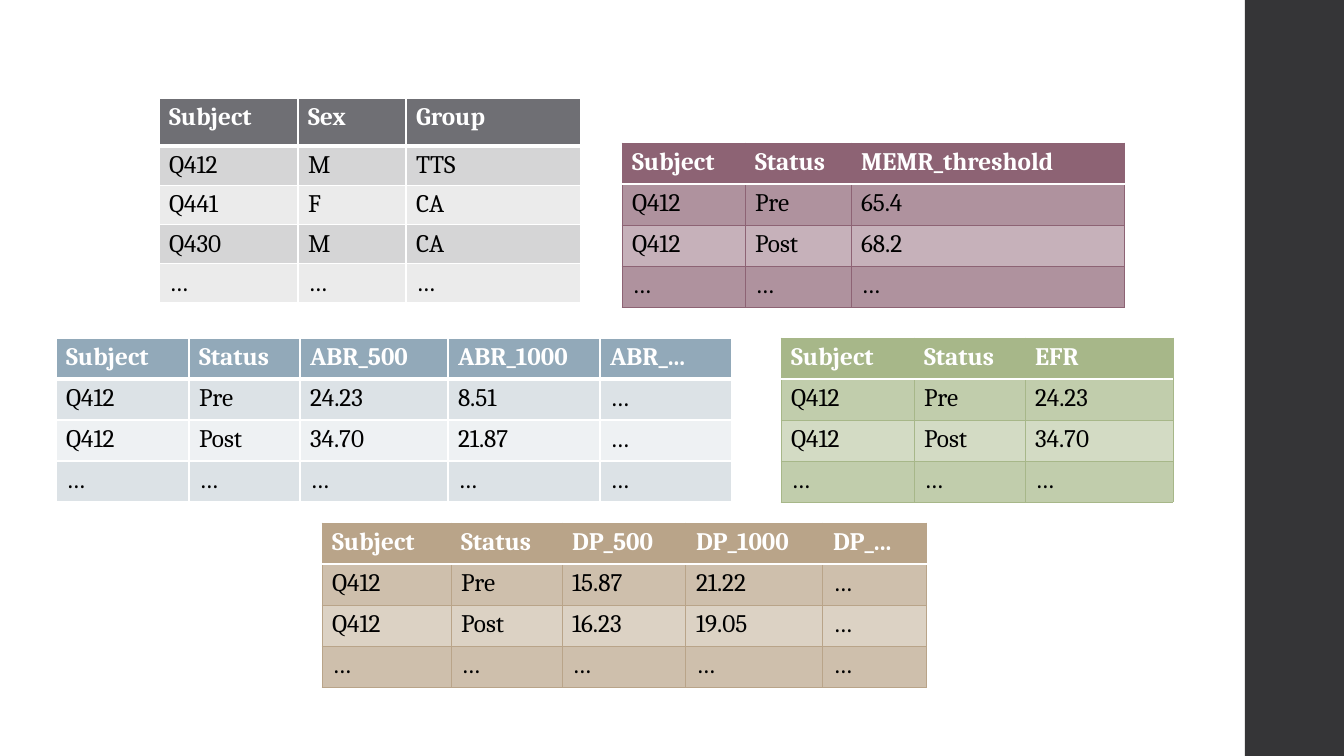
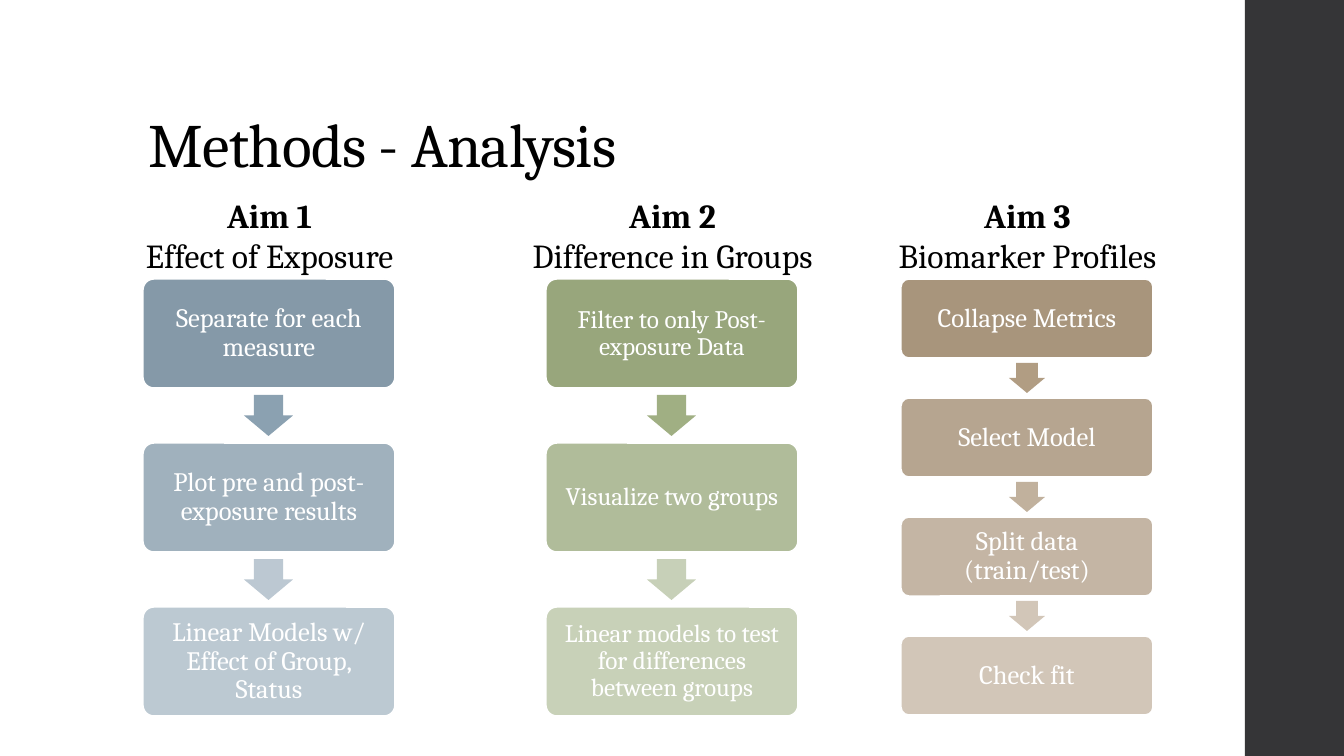
import lxml.etree
import pptx
import pptx.dml.color
import pptx.enum.shapes
import pptx.enum.text
import pptx.oxml.ns
import pptx.util

SLIDE_WIDTH, SLIDE_HEIGHT = 1344, 756
EMU_PER_PX = 12192000 / SLIDE_WIDTH
FONT = "Cambria"
WHITE, BLACK, BAND = "FFFFFF", "000000", "353537"
CENTER = pptx.enum.text.PP_ALIGN.CENTER
MIDDLE = pptx.enum.text.MSO_ANCHOR.MIDDLE
BOTTOM = pptx.enum.text.MSO_ANCHOR.BOTTOM
SHAPES = pptx.enum.shapes.MSO_SHAPE


def px(length):
    return pptx.util.Emu(round(length * EMU_PER_PX))


def rgb(color):
    return pptx.dml.color.RGBColor.from_string(color)


def tint(color, share):
    channels = (int(color[i:i + 2], 16) for i in (0, 2, 4))
    return "".join(f"{round(255 - (255 - value) * share):02X}" for value in channels)


class Deck:
    def __init__(self):
        self.presentation = pptx.Presentation()
        self.presentation.slide_width = px(SLIDE_WIDTH)
        self.presentation.slide_height = px(SLIDE_HEIGHT)
        self.slide = None

    def new_slide(self):
        self.slide = self.presentation.slides.add_slide(self.presentation.slide_layouts[6])
        self.shape(SHAPES.RECTANGLE, 1245, 0, SLIDE_WIDTH - 1245, SLIDE_HEIGHT, BAND)

    def shape(self, kind, left, top, width, height, fill, adjustments=(), line=None):
        shape = self.slide.shapes.add_shape(kind, px(left), px(top), px(width), px(height))
        shape.shadow.inherit = False
        shape.fill.solid()
        shape.fill.fore_color.rgb = rgb(fill)
        if line:
            shape.line.color.rgb = rgb(line)
            shape.line.width = pptx.util.Pt(1.1)
        else:
            shape.line.fill.background()
        for index, value in enumerate(adjustments):
            shape.adjustments[index] = value
        return shape

    def run(self, paragraph, text, size, color, bold=False):
        run = paragraph.add_run()
        run.text = text
        run.font.name = FONT
        run.font.size = pptx.util.Pt(size)
        run.font.bold = bold
        run.font.color.rgb = rgb(color)
        return run

    def text_frame(self, left, top, width, height):
        box = self.slide.shapes.add_textbox(px(left), px(top), px(width), px(height))
        box.text_frame.word_wrap = True
        return box.text_frame

    def title(self, text):
        frame = self.text_frame(139, 40, 1068, 146)
        frame.vertical_anchor = BOTTOM
        frame.paragraphs[0].line_spacing = 0.9
        run = self.run(frame.paragraphs[0], text, 44, BLACK)
        run.font._element.set("spc", "-50")

    def heading(self, center, width, aim, topic):
        frame = self.text_frame(center - width // 2, 190, width, 92)
        frame.auto_size = pptx.enum.text.MSO_AUTO_SIZE.SHAPE_TO_FIT_TEXT
        for paragraph, text, bold in (
            (frame.paragraphs[0], aim, True),
            (frame.add_paragraph(), topic, False),
        ):
            paragraph.alignment = CENTER
            self.run(paragraph, text, 24, BLACK, bold)

    def step(self, left, top, width, height, text, size, inset, fill):
        step = self.shape(SHAPES.ROUNDED_RECTANGLE, left, top, width, height, fill, (0.1,), WHITE)
        frame = step.text_frame
        frame.word_wrap = True
        frame.vertical_anchor = MIDDLE
        frame.margin_left = frame.margin_right = px(inset)
        frame.margin_top = frame.margin_bottom = px(inset)
        frame.paragraphs[0].alignment = CENTER
        frame.paragraphs[0].line_spacing = 0.9
        self.run(frame.paragraphs[0], text, size, WHITE)

    def flow(self, left, height, steps, size, inset, step_fills, arrow_fills):
        top, width, gap = 279, 252, (height + 1) // 2
        arrow_width, arrow_height = round(height * 0.45), round(gap * 0.75)
        for index, (text, fill) in enumerate(zip(steps, step_fills)):
            step_top = top + index * (height + gap)
            self.step(left, step_top, width, height, text, size, inset, fill)
            if index < len(arrow_fills):
                self.shape(
                    SHAPES.DOWN_ARROW,
                    left + (width - arrow_width) // 2,
                    step_top + height + (gap - arrow_height) // 2,
                    arrow_width, arrow_height, arrow_fills[index], (0.6, 0.5),
                )

    def borders(self, cell, edges):
        properties = cell._tc.get_or_add_tcPr()
        for index, (side, (color, points)) in enumerate(edges.items()):
            line = lxml.etree.Element(
                pptx.oxml.ns.qn(f"a:ln{side}"), w=str(int(pptx.util.Pt(points)))
            )
            fill = lxml.etree.SubElement(line, pptx.oxml.ns.qn("a:solidFill"))
            lxml.etree.SubElement(fill, pptx.oxml.ns.qn("a:srgbClr"), val=color)
            properties.insert(index, line)

    def table(self, left, top, widths, heights, rows, header_fill, band_fills, edge, header_rule):
        frame = self.slide.shapes.add_table(
            len(rows), len(widths), px(left), px(top), px(sum(widths)), px(sum(heights))
        )
        table = frame.table
        table.horz_banding = False
        for column, width in zip(table.columns, widths):
            column.width = px(width)
        for row, height in zip(table.rows, heights):
            row.height = px(height)
        for row_index, values in enumerate(rows):
            header = row_index == 0
            fill = header_fill if header else band_fills[(row_index - 1) % 2]
            edges = dict.fromkeys("LRTB", edge)
            if header:
                edges["B"] = header_rule
            elif row_index == 1:
                edges["T"] = header_rule
            for column_index, value in enumerate(values):
                cell = table.cell(row_index, column_index)
                cell.fill.solid()
                cell.fill.fore_color.rgb = rgb(fill)
                self.borders(cell, edges)
                paragraph = cell.text_frame.paragraphs[0]
                self.run(paragraph, value, 18, WHITE if header else BLACK, header)

    def white_ruled_table(self, left, top, widths, heights, rows, fill, band_fills):
        self.table(left, top, widths, heights, rows, fill, band_fills, (WHITE, 1), (WHITE, 3))

    def tinted_table(self, left, top, widths, heights, rows, color):
        bands = (tint(color, 0.7), tint(color, 0.5))
        self.table(left, top, widths, heights, rows, color, bands, (color, 0.75), (WHITE, 1.1))


def measure_rows(measures, pre, post):
    return [
        ["Subject", "Status", *measures],
        ["Q412", "Pre", *pre],
        ["Q412", "Post", *post],
        ["…"] * (len(measures) + 2),
    ]


def data_slide(deck):
    deck.new_slide()
    subjects = [
        ["Subject", "Sex", "Group"],
        ["Q412", "M", "TTS"],
        ["Q441", "F", "CA"],
        ["Q430", "M", "CA"],
        ["…"] * 3,
    ]
    abr = measure_rows(
        ["ABR_500", "ABR_1000", "ABR_..."], ["24.23", "8.51", "…"], ["34.70", "21.87", "…"]
    )
    efr = measure_rows(["EFR"], ["24.23"], ["34.70"])
    dp = measure_rows(
        ["DP_500", "DP_1000", "DP_..."], ["15.87", "21.22", "…"], ["16.23", "19.05", "…"]
    )
    memr = measure_rows(["MEMR_threshold"], ["65.4"], ["68.2"])
    even = [41] * 4
    deck.white_ruled_table(
        159, 98, [139, 108, 175], [48] + [39] * 4, subjects, "6F6F74", ("D5D5D6", "EBEBEB")
    )
    deck.white_ruled_table(
        56, 338, [133, 111, 148, 152, 132], even, abr, "92A9B9", ("DCE2E6", "EEF1F3")
    )
    deck.tinted_table(781, 338, [133, 111, 148], even, efr, "A7B789")
    deck.tinted_table(322, 523, [129, 111, 124, 137, 104], even, dp, "B9A489")
    deck.tinted_table(622, 143, [123, 106, 274], even, memr, "8D6374")


def analysis_slide(deck):
    deck.new_slide()
    deck.title("Methods - Analysis")
    deck.flow(
        143, 109,
        ["Separate for each measure", "Plot pre and post-exposure results",
         "Linear Models w/ Effect of Group, Status"],
        19, 8, ["8599A8", "A0B1BD", "BCC9D2"], ["8BA1B1", "BCC8D2"],
    )
    deck.flow(
        546, 109,
        ["Filter to only Post-exposure Data", "Visualize two groups",
         "Linear models to test for differences between groups"],
        18, 7, ["98A67C", "B0BC9A", "C8D1B8"], ["A0AF83", "C7D0B8"],
    )
    deck.flow(
        901, 79,
        ["Collapse Metrics", "Select Model", "Split data (train/test)", "Check fit"],
        19, 8, ["A8957C", "B6A590", "C4B5A4", "D2C6B8"], ["B19D83", "C1B19D", "D2C6B8"],
    )
    deck.heading(269, 371, "Aim 1", "Effect of Exposure")
    deck.heading(672, 395, "Aim 2", "Difference in Groups")
    deck.heading(1027, 337, "Aim 3", "Biomarker Profiles")


def main():
    deck = Deck()
    data_slide(deck)
    analysis_slide(deck)
    deck.presentation.save("out.pptx")


if __name__ == "__main__":
    main()
